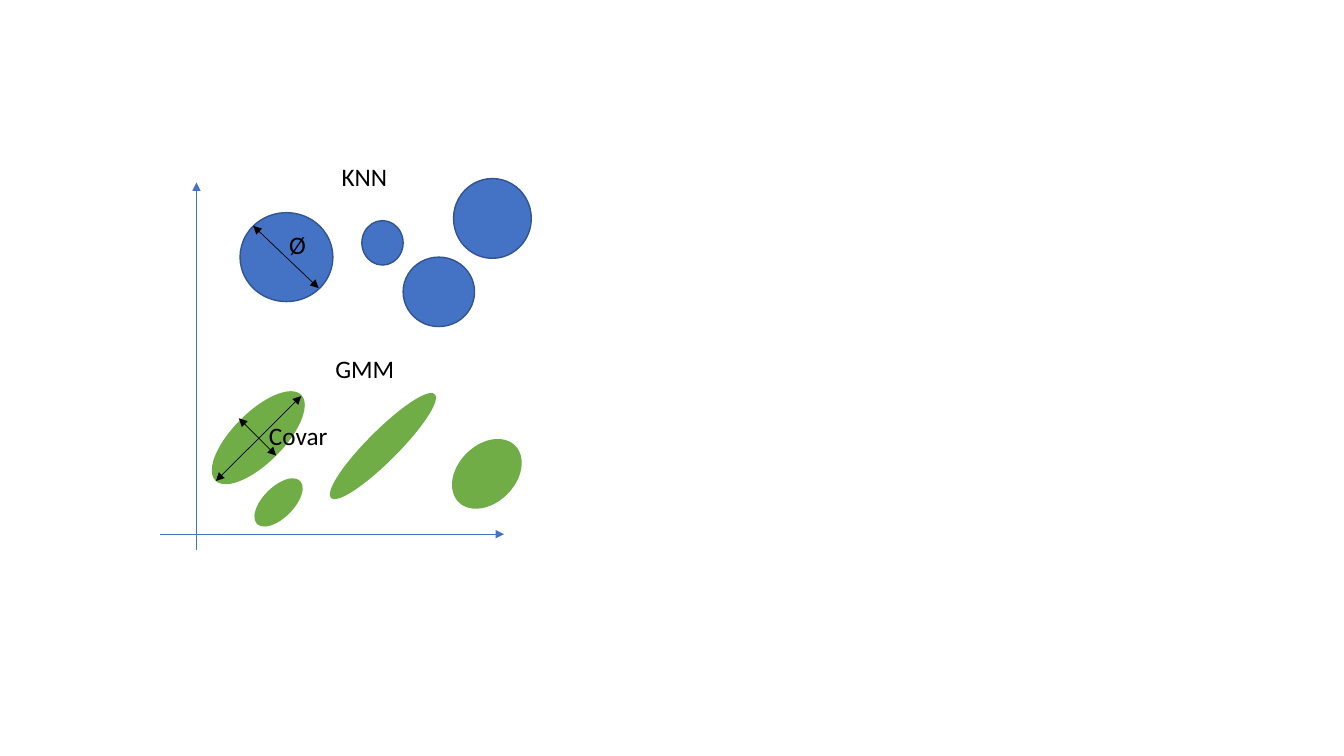
from dataclasses import dataclass

from lxml.etree import SubElement
from pptx import Presentation
from pptx.dml.color import RGBColor
from pptx.enum.shapes import MSO_CONNECTOR, MSO_SHAPE
from pptx.enum.text import MSO_AUTO_SIZE
from pptx.oxml.ns import qn
from pptx.util import Cm, Pt


@dataclass(frozen=True)
class Theme:
    """Colours, font, type size and line widths of the slide."""
    blue: str = "4472C4"
    navy: str = "325491"
    green: str = "70AD47"
    black: str = "000000"
    font: str = "Calibri"
    size: float = 18
    thin: float = 0.5
    edge: float = 1


THEME = Theme()


def apply(item, form):
    """Set each format value on the item."""
    for name, value in form.items():
        setattr(item, name, value)


def paint(fill, color):
    """Make a fill solid in one colour."""
    fill.solid()
    fill.fore_color.rgb = RGBColor.from_string(color)


def add_oval(slide, box, fill, edge, turn=0):
    """Draw one cluster as an ellipse."""
    oval = slide.shapes.add_shape(MSO_SHAPE.OVAL, *map(Cm, box))
    apply(oval, {"rotation": turn})
    apply(oval.shadow, {"inherit": False})
    apply(oval.line, {"width": Pt(THEME.edge)})
    paint(oval.fill, fill)
    paint(oval.line.fill, edge)


def add_arrow(slide, ends, color, tips):
    """Draw a straight arrow with the given tips."""
    arrow = slide.shapes.add_connector(MSO_CONNECTOR.STRAIGHT, *map(Cm, ends))
    apply(arrow.line, {"width": Pt(THEME.thin)})
    paint(arrow.line.fill, color)
    for tip in tips:
        SubElement(arrow.line.fill._xPr, qn(f"a:{tip}"), type="triangle")
    SubElement(arrow._element.spPr, qn("a:effectLst"))


def add_label(slide, text, left, top, width):
    """Place a one-line label."""
    frame = slide.shapes.add_textbox(*map(Cm, (left, top, width, 1.02))).text_frame
    apply(frame, {"word_wrap": False, "auto_size": MSO_AUTO_SIZE.SHAPE_TO_FIT_TEXT})
    run = frame.paragraphs[0].add_run()
    apply(run, {"text": text})
    apply(run.font, {"name": THEME.font, "size": Pt(THEME.size)})
    paint(run.font.fill, THEME.black)


def main():
    """Build the slide that compares KNN and GMM clusters."""
    deck = Presentation()
    apply(deck, {"slide_width": Cm(33.87), "slide_height": Cm(19.05)})
    slide = deck.slides.add_slide(deck.slide_layouts[6])

    axes = [(4.95, 13.87, 4.95, 4.6), (4.04, 13.46, 12.7, 13.46)]
    for ends in axes:
        add_arrow(slide, ends, THEME.blue, ["tailEnd"])

    rounds = [
        (6.05, 5.36, 2.34, 2.24),
        (9.12, 5.56, 1.04, 1.12),
        (10.16, 6.48, 1.8, 1.75),
        (11.43, 4.5, 1.96, 2.01),
    ]
    for box in rounds:
        add_oval(slide, box, THEME.blue, THEME.navy)

    tilted = [
        (5, 10.41, 3.02, 1.24),
        (7.82, 10.87, 3.66, 0.74),
        (6.27, 12.29, 1.5, 0.74),
        (11.28, 11.23, 1.98, 1.42),
    ]
    for box in tilted:
        add_oval(slide, box, THEME.green, THEME.green, 315)

    spans = [
        (6.38, 5.69, 8.03, 7.26),
        (5.44, 12.12, 7.59, 9.98),
        (6.02, 10.54, 6.96, 11.48),
    ]
    for ends in spans:
        add_arrow(slide, ends, THEME.black, ["headEnd", "tailEnd"])

    labels = [
        ("Ø", 7.04, 5.66, 0.94),
        ("KNN", 8.36, 3.94, 1.68),
        ("GMM", 8.2, 8.79, 2.01),
        ("Covar", 6.53, 10.46, 2.01),
    ]
    for label in labels:
        add_label(slide, *label)

    deck.save("out.pptx")


main()
